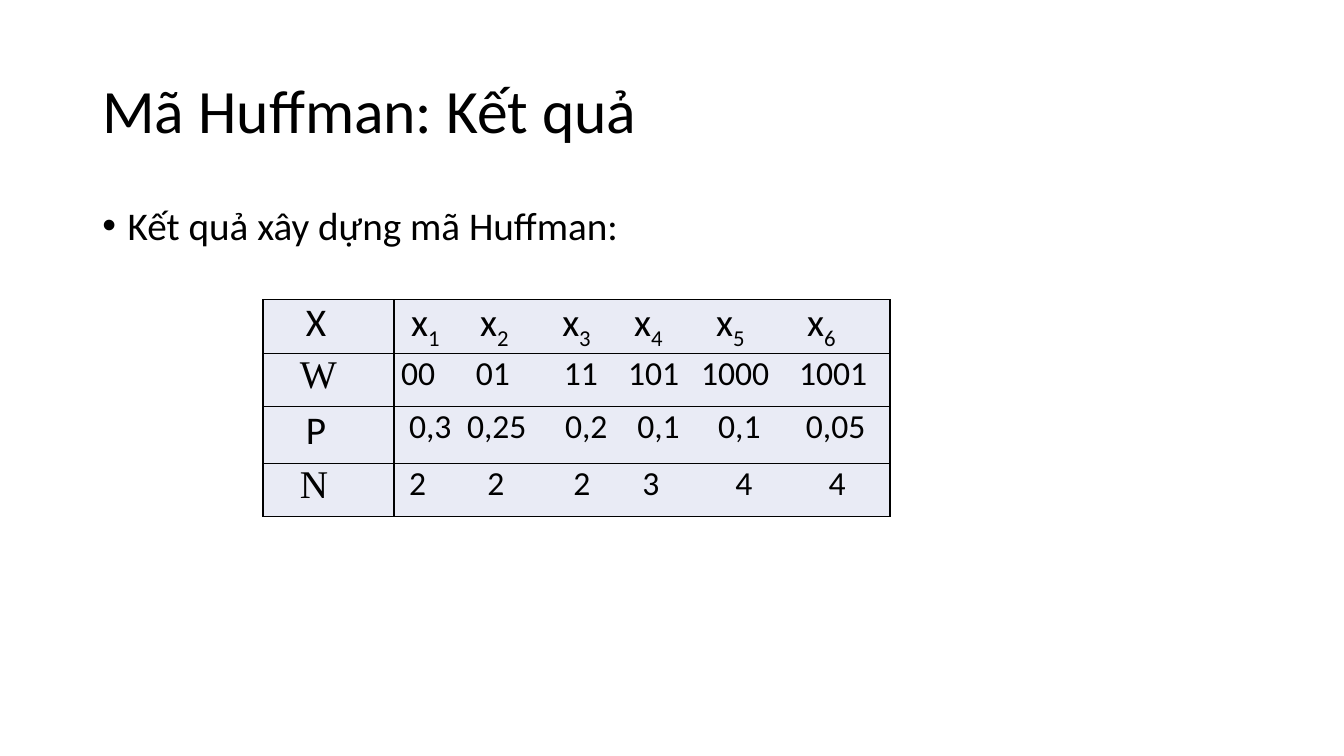
from lxml import etree
from pptx import Presentation
from pptx.dml.color import RGBColor
from pptx.enum import text
from pptx.oxml import ns
from pptx.util import Cm, Pt

BLACK, PALE = "000000", "E9EBF5"
SANS, SERIF = "Calibri", "Times New Roman"

# Row label, its font and indent, row height, value size, values, value starts (cm)
CODE_ROWS = [
    ("X", SANS, 0.9, 1.35, 28, "x1 x2 x3 x4 x5 x6", (0.25, 1.99, 4.06, 5.87, 7.94, 10.23)),
    ("W", SERIF, 0.75, 1.35, 24, "00 01 11 101 1000 1001", (0, 1.88, 4.1, 5.72, 7.56, 10.03)),
    ("P", SANS, 0.9, 1.42, 24, "0,3 0,25 0,2 0,1 0,1 0,05", (0.2, 1.66, 4.13, 5.95, 7.99, 10.2)),
    ("N", SERIF, 0.75, 1.35, 24, "2 2 2 3 4 4", (0.2, 2.17, 4.34, 6.08, 8.42, 10.77)),
]


def colour(value):
    return RGBColor.from_string(value)


def add_child(parent, tag, **attributes):
    return etree.SubElement(parent, ns.qn(tag), attributes)


def add_run(paragraph, words, size, font=SANS, baseline=None):
    run = paragraph.add_run()
    run.text = words
    for name, value in {"size": Pt(size), "name": font}.items():
        setattr(run.font, name, value)
    run.font.color.rgb = colour(BLACK)
    if baseline:
        run.font._element.set("baseline", str(baseline))


def add_text(slide, box, words, size, anchor):
    frame = slide.shapes.add_textbox(*map(Cm, box)).text_frame
    frame.word_wrap = True
    frame.vertical_anchor = anchor
    paragraph = frame.paragraphs[0]
    paragraph.line_spacing = 0.9
    add_run(paragraph, words, size)
    return paragraph


def add_title(slide, box):
    add_text(slide, box, "Mã Huffman: Kết quả", 44, text.MSO_ANCHOR.MIDDLE)


def add_body(slide, box):
    statement = add_text(slide, box, "Kết quả xây dựng mã Huffman:", 28, text.MSO_ANCHOR.TOP)
    statement.space_before = Pt(10)
    properties = statement._p.get_or_add_pPr()
    hanging = Cm(0.64)
    properties.set("marL", str(hanging))
    properties.set("indent", str(-hanging))
    add_child(properties, "a:buFont", typeface="Arial")
    add_child(properties, "a:buChar", char="•")


def style_cell(cell):
    """Fill and frame the cell, and return its paragraph."""
    cell.fill.solid()
    cell.fill.fore_color.rgb = colour(PALE)
    margins = {"margin_left": 0.18, "margin_right": 0.18, "margin_top": 0, "margin_bottom": 0}
    for name, value in margins.items():
        setattr(cell, name, Cm(value))
    properties = cell._tc.get_or_add_tcPr()
    for position, side in enumerate("LRTB"):
        line = add_child(properties, f"a:ln{side}", w=str(Pt(1)))
        add_child(add_child(line, "a:solidFill"), "a:srgbClr", val=BLACK)
        properties.insert(position, line)
    paragraph = cell.text_frame.paragraphs[0]
    paragraph.alignment = text.PP_ALIGN.JUSTIFY
    paragraph.space_after = Pt(6)
    return paragraph


def write_values(paragraph, values, starts, size):
    """Set the values on tab stops, with the index of each symbol lowered."""
    stops = add_child(paragraph._p.get_or_add_pPr(), "a:tabLst")
    for value, start in zip(values, starts):
        if start:
            add_child(stops, "a:tab", pos=str(Cm(start)), algn="l")
        lead = "\t" if start else ""
        if value.startswith("x"):
            add_run(paragraph, lead + value[0], size)
            add_run(paragraph, value[1:], size, baseline=-25000)
        else:
            add_run(paragraph, lead + value, size)


def add_code_table(slide, box):
    table = slide.shapes.add_table(len(CODE_ROWS), 2, *map(Cm, box)).table
    table.first_row = table.horz_banding = False
    label_width = 3.3
    for column, width in zip(table.columns, (label_width, box[2] - label_width)):
        column.width = Cm(width)
    for index, (label, font, indent, height, size, values, starts) in enumerate(CODE_ROWS):
        table.rows[index].height = Cm(height)
        heading, codes = (style_cell(table.cell(index, column)) for column in range(2))
        heading._p.get_or_add_pPr().set("marL", str(Cm(indent)))
        add_run(heading, label, 28, font)
        write_values(codes, values.split(), starts, size)


def main():
    deck = Presentation()
    deck.slide_width, deck.slide_height = Cm(33.87), Cm(19.05)
    slide = deck.slides.add_slide(deck.slide_layouts[6])
    add_title(slide, (2.33, 1.01, 29.21, 3.68))
    add_body(slide, (2.33, 5.07, 29.21, 12.09))
    add_code_table(slide, (6.63, 7.55, 15.8, 5.47))
    deck.save("out.pptx")


if __name__ == "__main__":
    main()
